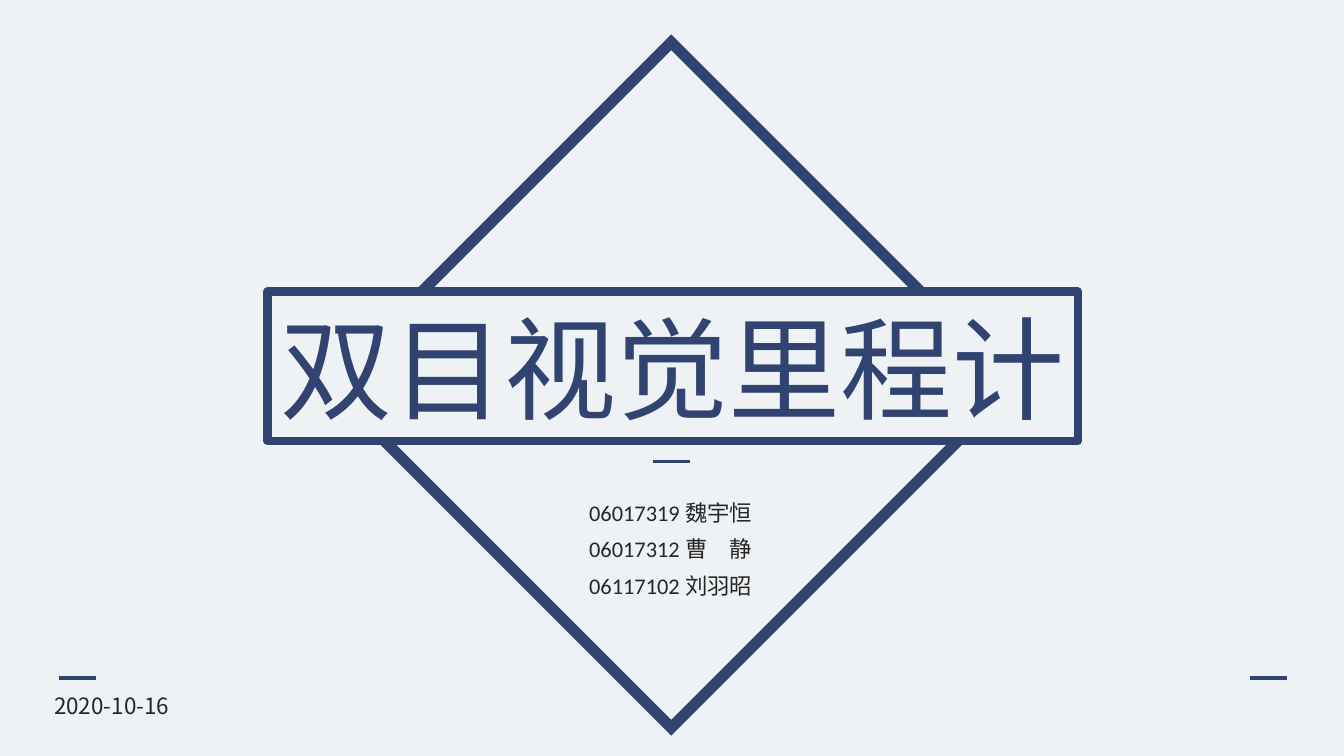
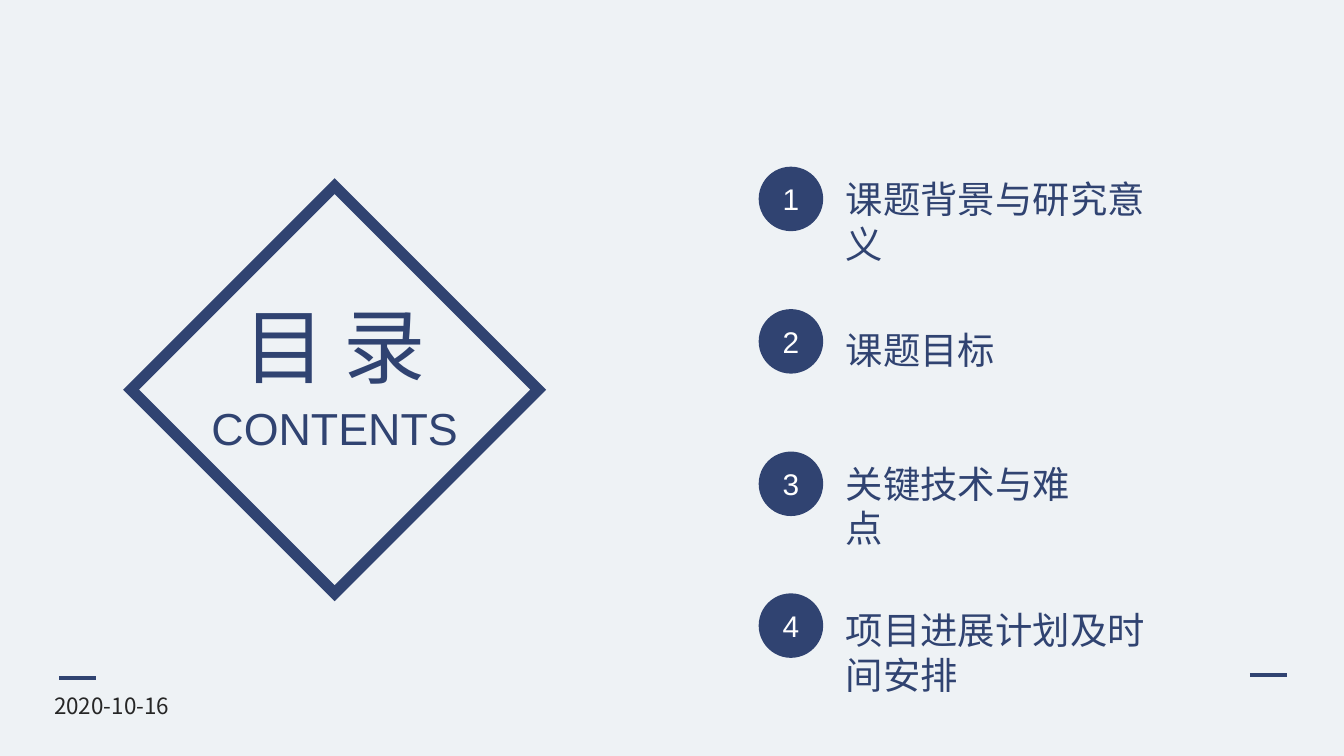
from pptx import Presentation
from pptx.dml.color import RGBColor
from pptx.enum.shapes import MSO_CONNECTOR, MSO_SHAPE
from pptx.enum.text import MSO_ANCHOR, MSO_AUTO_SIZE, PP_ALIGN
from pptx.oxml.ns import qn
from pptx.util import Pt
from lxml.etree import SubElement

PX = 4572
WIDTH, HEIGHT = 2000, 1125
COLORS = {"paper": "EEF2F5", "navy": "304371", "ink": "262626", "white": "FFFFFF"}
CJK = "Noto Sans CJK SC"


def color(name):
    return RGBColor.from_string(COLORS[name])


def write(sp, text, size=20, font=CJK, fill="navy", align=PP_ALIGN.LEFT,
          anchor=MSO_ANCHOR.TOP, spacing=None, wrap=False, grow=True):
    tf = sp.text_frame
    tf.word_wrap = wrap
    tf.auto_size = MSO_AUTO_SIZE.SHAPE_TO_FIT_TEXT if grow else MSO_AUTO_SIZE.NONE
    tf.vertical_anchor = anchor
    p = tf.paragraphs[0]
    p.alignment = align
    if spacing:
        p.line_spacing = spacing
    r = p.add_run()
    r.text = text
    r.font.size = Pt(size)
    r.font.name = font
    r.font.color.rgb = color(fill)
    SubElement(r.font._element, qn("a:ea")).set("typeface", CJK)


class Deck:
    def __init__(self):
        self.prs = Presentation()
        self.prs.slide_width = WIDTH * PX
        self.prs.slide_height = HEIGHT * PX
        self.s = None

    def slide(self, right_rule_y):
        self.s = self.prs.slides.add_slide(self.prs.slide_layouts[6])
        self.s.background.fill.solid()
        self.s.background.fill.fore_color.rgb = color("paper")
        self.rule(1860, right_rule_y)
        self.rule(88, 1009)
        self.text("2020-10-16", 61, 1020, 226, 60, size=12, fill="ink")

    def rule(self, x, y, length=55, weight=2.25):
        line = self.s.shapes.add_connector(
            MSO_CONNECTOR.STRAIGHT, x * PX, y * PX, (x + length) * PX, y * PX)
        line.line.color.rgb = color("navy")
        line.line.width = Pt(weight)
        SubElement(line.element.spPr, qn("a:effectLst"))

    def shape(self, kind, x, y, w, h, fill=None, weight=None):
        sp = self.s.shapes.add_shape(kind, x * PX, y * PX, w * PX, h * PX)
        sp.shadow.inherit = False
        if fill:
            sp.fill.solid()
            sp.fill.fore_color.rgb = color(fill)
        else:
            sp.fill.background()
        if weight:
            sp.line.color.rgb = color("navy")
            sp.line.width = Pt(weight)
        else:
            sp.line.fill.background()
        return sp

    def diamond(self, x, y, size):
        sp = self.shape(MSO_SHAPE.DIAMOND, x, y, size, size, weight=6)
        SubElement(sp.element.spPr.get_or_add_ln(), qn("a:miter")).set("lim", "800000")

    def banner(self, text, x, y, w, h):
        sp = self.shape(MSO_SHAPE.RECTANGLE, x, y, w, h, fill="paper", weight=4.5)
        write(sp, text, size=60, align=PP_ALIGN.CENTER, anchor=MSO_ANCHOR.MIDDLE, grow=False)

    def badge(self, text, x, y, size=96):
        sp = self.shape(MSO_SHAPE.OVAL, x, y, size, size, fill="navy")
        write(sp, text, size=16, font="Arial", fill="white", align=PP_ALIGN.CENTER,
              anchor=MSO_ANCHOR.MIDDLE, wrap=True, grow=False)

    def text(self, text, x, y, w, h, **style):
        write(self.s.shapes.add_textbox(x * PX, y * PX, w * PX, h * PX), text, **style)


def cover(deck):
    deck.slide(right_rule_y=1009)
    deck.diamond(489, 63, 1020)
    deck.banner("双目视觉里程计", 398, 434, 1206, 222)
    deck.rule(972, 687, weight=1.5)
    members = ["06017319 魏宇恒", "06017312 曹　静", "06117102 刘羽昭"]
    for i, member in enumerate(members):
        deck.text(member, 647, 713 + 54 * i, 702, 80, size=12, font="Calibri",
                  fill="ink", align=PP_ALIGN.CENTER, spacing=1.5, wrap=True)


def contents(deck):
    deck.slide(right_rule_y=1004)
    deck.diamond(195, 277, 606)
    deck.text("目 录", 336, 430, 324, 168, size=44, align=PP_ALIGN.CENTER)
    deck.text("CONTENTS", 293, 586, 410, 100, size=24, font="Arial", align=PP_ALIGN.CENTER)
    topics = [
        ("课题背景与研究意义", 252, 539),
        ("课题目标", 477, 262),
        ("关键技术与难点", 676, 427),
        ("项目进展计划及时间安排", 894, 528),
    ]
    for i, (topic, y, w) in enumerate(topics):
        deck.badge(str(i + 1), 1129, 248 + 212 * i - i // 3)
        deck.text(topic, 1239, y, w, 88, wrap=True)


def main():
    deck = Deck()
    cover(deck)
    contents(deck)
    deck.prs.save("out.pptx")


if __name__ == "__main__":
    main()
